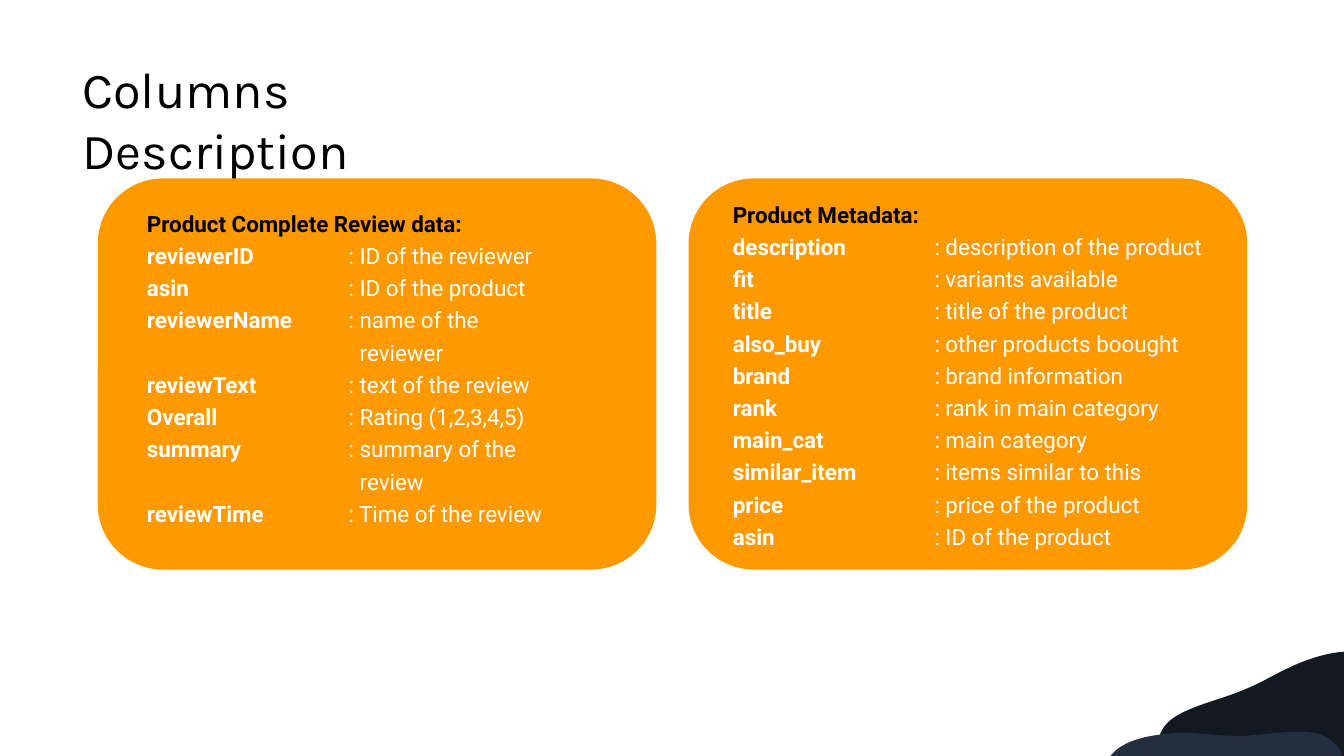
from lxml import etree
from pptx import Presentation
from pptx.dml.color import RGBColor
from pptx.enum import shapes, text
from pptx.oxml import ns
from pptx.util import Inches, Pt

BLACK = RGBColor(0x00, 0x00, 0x00)
WHITE = RGBColor(0xFF, 0xFF, 0xFF)
ORANGE = RGBColor(0xFF, 0x99, 0x00)
NIGHT = RGBColor(0x13, 0x19, 0x21)
NAVY = RGBColor(0x23, 0x2F, 0x3E)

deck = Presentation()
deck.slide_width, deck.slide_height = Inches(13.33), Inches(7.5)
slide = deck.slides.add_slide(deck.slide_layouts[6])


def write(para, words, size=16, face="Roboto", color=WHITE, bold=False):
    run = para.add_run()
    run.text = words
    run.font.size, run.font.name, run.font.bold = Pt(size), face, bold
    run.font.color.rgb = color


def add_box(left, top, width, height):
    box = slide.shapes.add_textbox(*map(Inches, (left, top, width, height)))
    box.text_frame.word_wrap = True
    box.text_frame.auto_size = text.MSO_AUTO_SIZE.SHAPE_TO_FIT_TEXT
    return box.text_frame


# Title, wrapped onto two lines
title = add_box(0.72, 0.53, 4.8, 0.71)
write(title.paragraphs[0], "Columns Description", size=36, face="Karla", color=BLACK)

# Orange cards
for left in (0.97, 6.83):
    card = slide.shapes.add_shape(shapes.MSO_SHAPE.ROUNDED_RECTANGLE,
                                  Inches(left), Inches(1.77), Inches(5.54), Inches(3.88))
    card.shadow.inherit = False
    card.fill.solid()
    card.fill.fore_color.rgb = ORANGE
    card.line.fill.background()

# Column lists: a row without a name continues the row above
lists = [
    ((1.36, 1.98, 4.56, 3.31), "Product Complete Review data:", [
        ("reviewerID", "ID of the reviewer"),
        ("asin", "ID of the product"),
        ("reviewerName", "name of the"),
        ("", "reviewer"),
        ("reviewText", "text of the review"),
        ("Overall", "Rating (1,2,3,4,5)"),
        ("summary", "summary of the"),
        ("", "review"),
        ("reviewTime", "Time of the review"),
    ]),
    ((7.17, 1.89, 5.68, 3.63), "Product Metadata:", [
        ("description", "description of the product"),
        ("fit", "variants available"),
        ("title", "title of the product"),
        ("also_buy", "other products boought"),
        ("brand", "brand information"),
        ("rank", "rank in main category"),
        ("main_cat", "main category"),
        ("similar_item", "items similar to this"),
        ("price", "price of the product"),
        ("asin", "ID of the product"),
    ]),
]
for place, head, rows in lists:
    frame = add_box(*place)
    para = frame.paragraphs[0]
    para.line_spacing = 1.2
    write(para, head, color=BLACK, bold=True)
    for name, note in rows:
        para = frame.add_paragraph()
        para.line_spacing = 1.2
        props = para._p.get_or_add_pPr()
        if name:
            tabs = etree.SubElement(props, ns.qn("a:tabLst"))
            etree.SubElement(tabs, ns.qn("a:tab"), pos=str(Inches(2)), algn="l")
            write(para, name, bold=True)
            write(para, "\t: " + note)
        else:
            props.set("marL", str(Inches(2.11)))
            props.set("indent", "0")
            write(para, note)

# Corner waves: a start point, then cubic curves (two handles and an end)
waves = [
    (NIGHT, (11.57, 7.18), [
        (11.71, 7.03, 12.04, 6.96, 12.27, 6.87),
        (12.51, 6.78, 12.65, 6.68, 12.86, 6.59),
        (13.07, 6.5, 13.36, 6.42, 13.55, 6.49),
        (13.74, 6.56, 13.82, 6.77, 13.81, 6.99),
        (13.79, 7.21, 13.67, 7.44, 13.49, 7.63),
        (13.31, 7.81, 13.08, 7.94, 12.82, 8.05),
        (12.57, 8.15, 12.28, 8.22, 12.06, 8.17),
        (11.85, 8.12, 11.69, 7.95, 11.59, 7.75),
        (11.48, 7.56, 11.43, 7.33, 11.57, 7.18),
    ]),
    (NAVY, (13.13, 7.3), [
        (12.95, 7.22, 12.62, 7.28, 12.37, 7.3),
        (12.12, 7.31, 11.95, 7.27, 11.71, 7.27),
        (11.48, 7.28, 11.19, 7.32, 11.05, 7.46),
        (10.9, 7.6, 10.91, 7.83, 11.01, 8.03),
        (11.12, 8.22, 11.32, 8.38, 11.55, 8.48),
        (11.79, 8.57, 12.06, 8.6, 12.33, 8.59),
        (12.61, 8.58, 12.9, 8.53, 13.08, 8.4),
        (13.26, 8.27, 13.34, 8.05, 13.35, 7.83),
        (13.37, 7.6, 13.32, 7.38, 13.13, 7.3),
    ]),
]
for color, start, curves in waves:
    pen = slide.shapes.build_freeform(*map(Inches, start))
    pen.add_line_segments([(Inches(c[4]), Inches(c[5])) for c in curves], close=True)
    wave = pen.convert_to_shape()
    wave.shadow.inherit = False
    wave.fill.solid()
    wave.fill.fore_color.rgb = color
    wave.line.fill.background()
    # Bend each straight side into its curve
    sides = list(wave._element.iter(ns.qn("a:lnTo")))
    for side, curve in zip(sides, curves):
        bend = etree.Element(ns.qn("a:cubicBezTo"))
        for x, y in zip(curve[::2], curve[1::2]):
            etree.SubElement(bend, ns.qn("a:pt"), x=str(Inches(x) - wave.left),
                             y=str(Inches(y) - wave.top))
        side.getparent().replace(side, bend)

deck.save("out.pptx")
